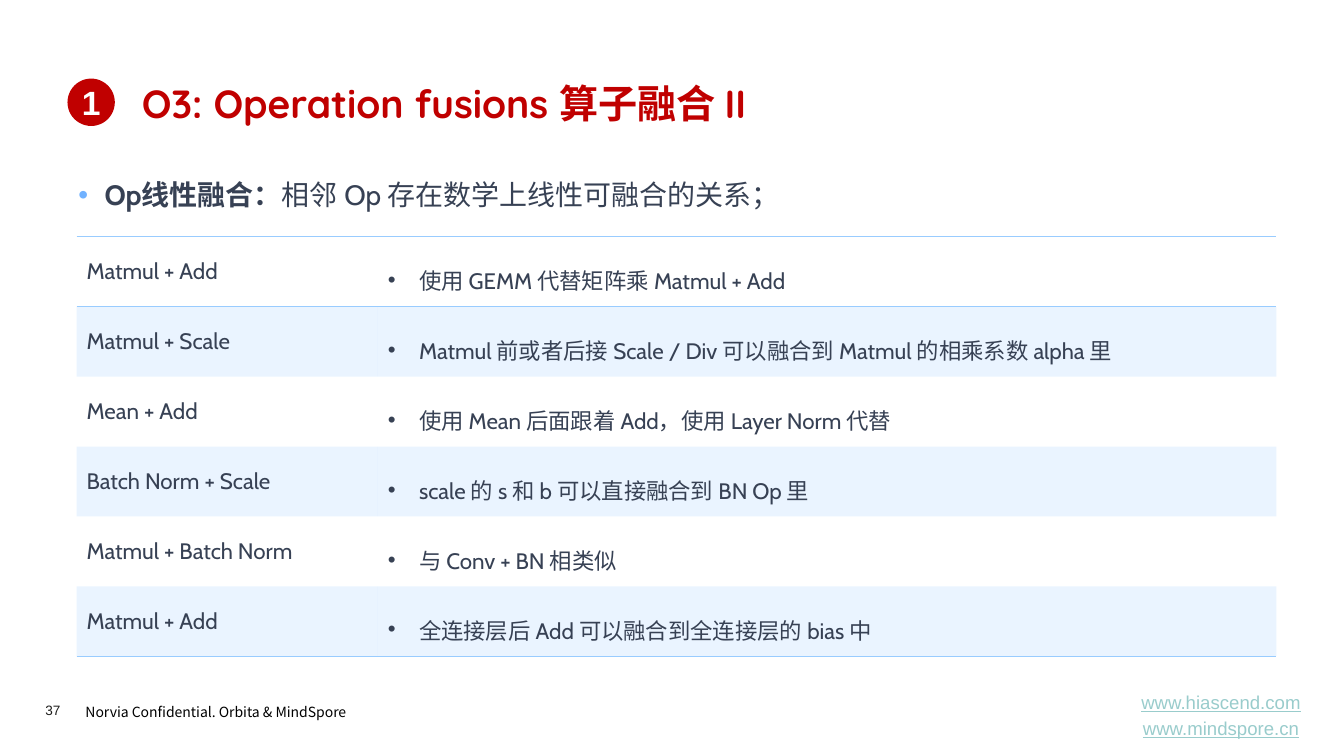
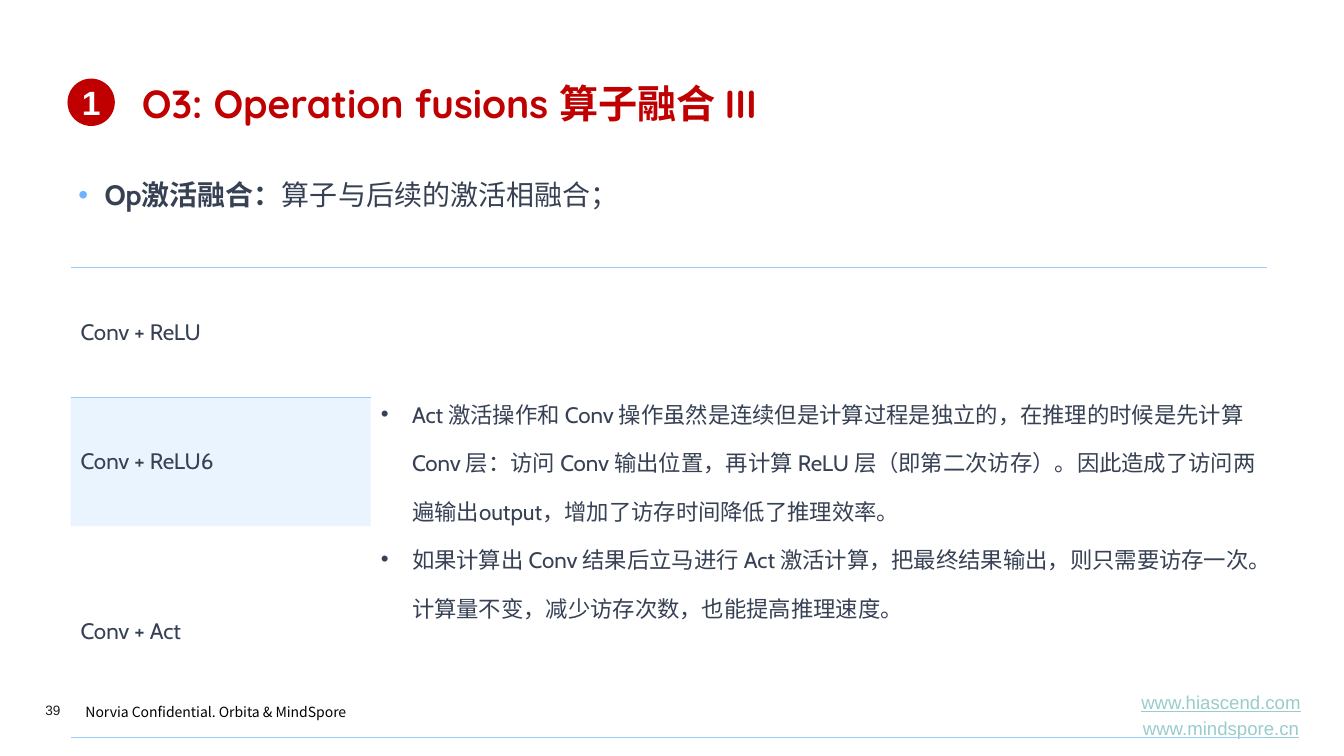
from dataclasses import dataclass
from lxml.etree import SubElement as Sub
from pptx import Presentation
from pptx.dml.color import RGBColor as RGB
from pptx.enum.shapes import MSO_SHAPE as Shape
from pptx.enum.text import MSO_ANCHOR as Anchor, PP_ALIGN as Align
from pptx.oxml.ns import qn
from pptx.util import Inches, Pt


@dataclass(frozen=True)
class Theme:
    red: str = "C00000"
    ink: str = "374154"
    sky: str = "99CCFF"
    dot: str = "71B2FF"
    link: str = "99CCCC"
    page: str = "1D1D1B"
    black: str = "000000"
    white: str = "FFFFFF"
    head: str = "Quicksand"
    body: str = "Cabin"
    sans: str = "Arial"
    han: str = "Noto Sans CJK SC"
    title: float = 28
    badge: float = 24
    lead: float = 20
    cell: float = 16
    url: float = 13.3
    note: float = 10
    num: float = 9.7
    tint: int = 20
    plain: str = "{2D5ABB26-0587-4C30-8999-92F81FD0307C}"


T = Theme()


# Text helpers
def add_run(para, text, face, size, color, bold=False, under=False):
    run = para.add_run()
    run.text = text
    font = run.font
    font.name, font.size = face, Pt(size)
    font.bold, font.underline = bold, under
    font.color.rgb = RGB.from_string(color)
    Sub(font._element, qn("a:ea"), typeface=T.han)


def add_dot(para, indent, color):
    props = para._p.get_or_add_pPr()
    props.set("marL", str(Inches(indent)))
    props.set("indent", str(-Inches(indent)))
    Sub(Sub(props, qn("a:buClr")), qn("a:srgbClr"), val=color)
    Sub(props, qn("a:buFont"), typeface=T.sans)
    Sub(props, qn("a:buChar"), char="•")
    para.line_spacing = 1.5


def add_box(slide, box, anchor=Anchor.TOP, inset=None):
    frame = slide.shapes.add_textbox(*map(Inches, box)).text_frame
    frame.word_wrap = True
    frame.vertical_anchor = anchor
    if inset is not None:
        set_inset(frame, inset)
    return frame


def set_inset(frame, inset):
    frame.margin_left = frame.margin_right = Inches(inset)
    frame.margin_top = frame.margin_bottom = Inches(inset)


def next_para(frame, index):
    return frame.add_paragraph() if index else frame.paragraphs[0]


# Title with its numbered badge
def add_title(slide, box, text):
    left, top, width, height = box
    side, gap = 0.47, 0.17
    disc = slide.shapes.add_shape(
        Shape.OVAL, Inches(left), Inches(top + 0.04), Inches(side), Inches(side))
    disc.shadow.inherit = False
    disc.fill.solid()
    disc.fill.fore_color.rgb = RGB.from_string(T.red)
    disc.line.fill.background()
    frame = disc.text_frame
    set_inset(frame, 0)
    frame.vertical_anchor = Anchor.MIDDLE
    para = frame.paragraphs[0]
    para.alignment = Align.CENTER
    add_run(para, "1", T.sans, T.badge, T.white, bold=True)
    shift = side + gap
    frame = add_box(slide, (left + shift, top, width - shift, height))
    add_run(frame.paragraphs[0], text, T.head, T.title, T.red, bold=True)


# Lead sentence
def add_lead(slide, box, term, text):
    para = add_box(slide, box).paragraphs[0]
    add_dot(para, 0.26, T.dot)
    add_run(para, term, T.body, T.lead, T.ink, bold=True)
    add_run(para, text, T.body, T.lead, T.ink)


# Footer: page number, notice and web addresses
def add_foot(slide, box, page):
    left, top, width, _ = box
    frame = add_box(slide, (left, top + 0.08, 0.3, 0.16), inset=0)
    add_run(frame.paragraphs[0], str(page), T.sans, T.num, T.page)
    para = add_box(slide, (left + 0.3, top + 0.02, 3.13, 0.29)).paragraphs[0]
    para.line_spacing = 1.2
    add_run(para, "Norvia Confidential. Orbita & MindSpore", T.han, T.note, T.black)
    wide = 2.16
    frame = add_box(slide, (left + width - wide, top, wide, 0.43), Anchor.MIDDLE)
    for i, url in enumerate(("www.hiascend.com", "www.mindspore.cn")):
        para = next_para(frame, i)
        para.alignment = Align.CENTER
        if i:
            para.space_before = Pt(T.url * 0.2)
        add_run(para, url, T.sans, T.url, T.link, under=True)


# Table of operator pairs
def add_edge(cell, side):
    line = Sub(cell._tc.get_or_add_tcPr(), qn("a:ln" + side), w=str(Pt(1)))
    Sub(Sub(line, qn("a:solidFill")), qn("a:srgbClr"), val=T.sky)


def add_tint(cell):
    cell.fill.solid()
    cell.fill.fore_color.rgb = RGB.from_string(T.sky)
    tone = cell._tc.tcPr.find(".//" + qn("a:solidFill") + "[last()]")
    for tone in cell._tc.tcPr.findall(qn("a:solidFill") + "/" + qn("a:srgbClr")):
        Sub(tone, qn("a:alpha"), val=str(T.tint * 1000))


def add_grid(slide, box, first, rows, pairs, merge=False):
    left, top, width, height = box
    shape = slide.shapes.add_table(len(pairs), 2, *map(Inches, box))
    shape._element.xpath(".//a:tableStyleId")[0].text = T.plain
    grid = shape.table
    grid.first_row = grid.horz_banding = False
    for col, wide in zip(grid.columns, (first, width - first)):
        col.width = Inches(wide)
    for row, high in zip(grid.rows, rows):
        row.height = Inches(high)
    if merge:
        grid.cell(0, 1).merge(grid.cell(len(pairs) - 1, 1))
    for r, (name, notes) in enumerate(pairs):
        for c in range(2):
            cell = grid.cell(r, c)
            cell.vertical_anchor = Anchor.MIDDLE
            if r == 0:
                add_edge(cell, "T")
            if r == len(pairs) - 1 or (r == 0 and not (merge and c)) or (merge and c and r == 0):
                add_edge(cell, "B")
            if r % 2 and not (merge and c):
                add_tint(cell)
            else:
                cell.fill.background()
        add_run(grid.cell(r, 0).text_frame.paragraphs[0], name, T.body, T.cell, T.ink)
        for i, note in enumerate(notes):
            para = next_para(grid.cell(r, 1).text_frame, i)
            add_dot(para, 0.31, T.ink)
            add_run(para, note, T.body, T.cell, T.ink)


# Frame shared by both slides
def add_page(deck, page, title, term, text):
    slide = deck.slides.add_slide(deck.slide_layouts[6])
    add_foot(slide, (0.45, 6.88, 12.75, 0.43), page)
    add_title(slide, (0.67, 0.74, 12, 0.64), title)
    add_lead(slide, (0.68, 1.55, 11.99, 0.64), term, text)
    return slide


LINEAR = [
    ("Matmul + Add", ["使用 GEMM 代替矩阵乘 Matmul + Add"]),
    ("Matmul + Scale", ["Matmul 前或者后接 Scale / Div 可以融合到 Matmul 的相乘系数 alpha 里"]),
    ("Mean + Add", ["使用 Mean 后面跟着 Add，使用 Layer Norm 代替"]),
    ("Batch Norm + Scale", ["scale 的 s 和 b 可以直接融合到 BN Op 里"]),
    ("Matmul + Batch Norm", ["与 Conv + BN 相类似"]),
    ("Matmul + Add", ["全连接层后 Add 可以融合到全连接层的 bias 中"]),
]
ACTIVE = [
    ("Conv + ReLU", [
        "Act 激活操作和 Conv 操作虽然是连续但是计算过程是独立的，在推理的时候是先计算 Conv 层："
        "访问 Conv 输出位置，再计算 ReLU 层（即第二次访存）。因此造成了访问两遍输出output，"
        "增加了访存时间降低了推理效率。",
        "如果计算出 Conv 结果后立马进行 Act 激活计算，把最终结果输出，则只需要访存一次。"
        "计算量不变，减少访存次数，也能提高推理速度。"]),
    ("Conv + ReLU6", []),
    ("Conv + Act", []),
]


def main():
    deck = Presentation()
    deck.slide_width, deck.slide_height = Inches(13.34), Inches(7.5)
    slide = add_page(deck, 37, "O3: Operation fusions 算子融合 II",
                     "Op线性融合：", "相邻 Op 存在数学上线性可融合的关系；")
    add_grid(slide, (0.76, 2.35, 11.91, 4.16), 2.99, [4.16 / 6] * 6, LINEAR)
    slide = add_page(deck, 39, "O3: Operation fusions 算子融合 III",
                     "Op激活融合：", "算子与后续的激活相融合；")
    add_grid(slide, (0.7, 2.65, 11.88, 4.67), 2.98, [1.29, 1.28, 2.1], ACTIVE, merge=True)
    deck.save("out.pptx")


if __name__ == "__main__":
    main()
